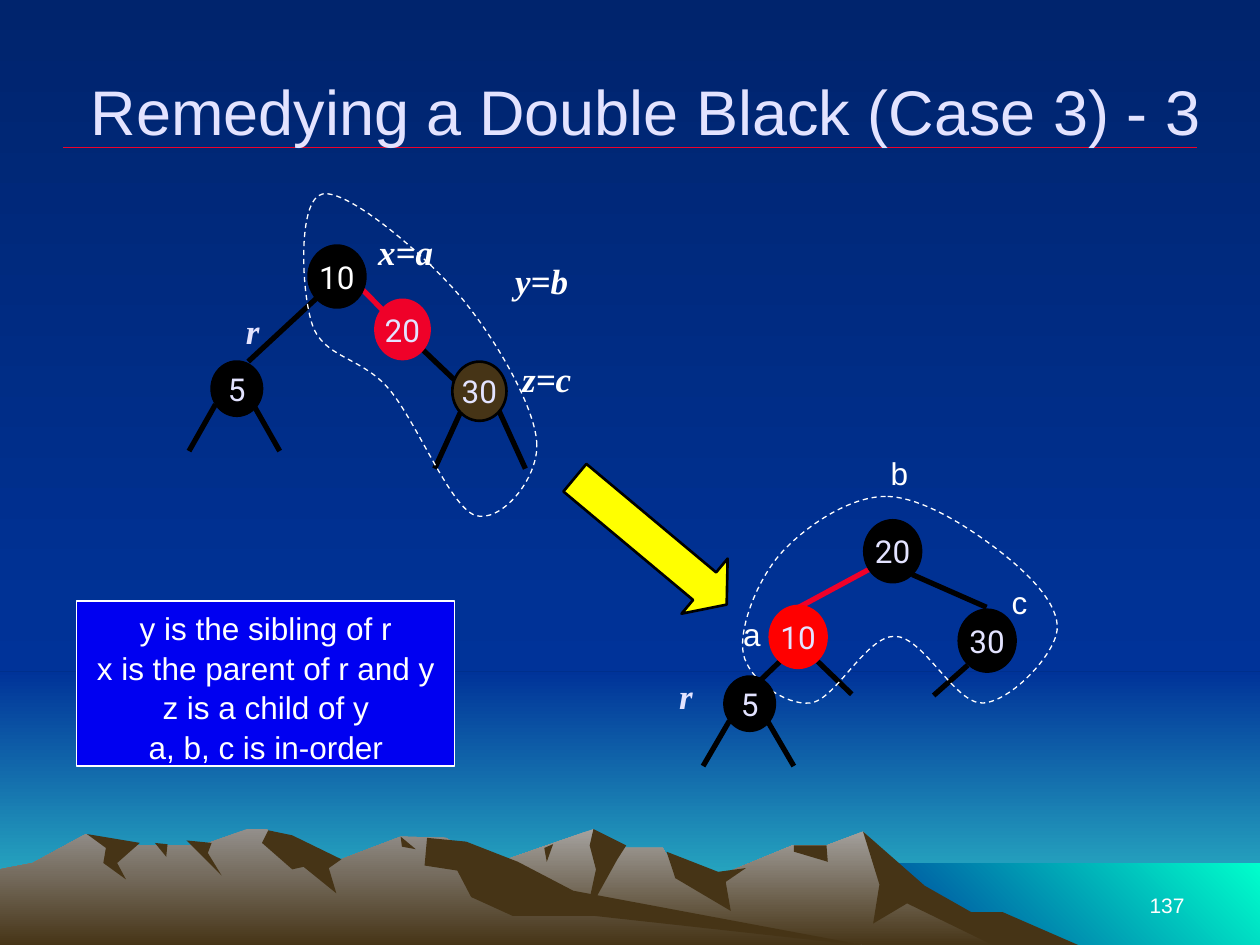
from lxml import etree
from pptx import Presentation
from pptx.dml.color import RGBColor
from pptx.enum.dml import MSO_LINE
from pptx.enum.shapes import MSO_CONNECTOR, MSO_SHAPE
from pptx.enum.text import MSO_ANCHOR, PP_ALIGN
from pptx.oxml.ns import qn
from pptx.util import Inches, Pt

LEFT, MID, RIGHT = PP_ALIGN.LEFT, PP_ALIGN.CENTER, PP_ALIGN.RIGHT
TOP, HALF, BASE = MSO_ANCHOR.TOP, MSO_ANCHOR.MIDDLE, MSO_ANCHOR.BOTTOM
DASH = MSO_LINE.DASH
OVAL, RECT, ARROW = MSO_SHAPE.OVAL, MSO_SHAPE.RECTANGLE, MSO_SHAPE.RIGHT_ARROW
STRAIGHT = MSO_CONNECTOR.STRAIGHT

BLACK = RGBColor(0x00, 0x00, 0x00)
WHITE = RGBColor(0xFF, 0xFF, 0xFF)
PALE = RGBColor(0xE3, 0xE3, 0xFF)
RED = RGBColor(0xFF, 0x00, 0x00)
ROSE = RGBColor(0xEF, 0x01, 0x29)
BROWN = RGBColor(0x46, 0x34, 0x16)
STONE = RGBColor(0xA5, 0xA2, 0x9F)
ROCK = RGBColor(0x93, 0x8F, 0x8B)
YELLOW = RGBColor(0xFF, 0xFF, 0x00)
BLUE = RGBColor(0x00, 0x00, 0xF1)
NIGHT = RGBColor(0x00, 0x24, 0x6D)
SKY = RGBColor(0x00, 0x33, 0x99)
TEAL = RGBColor(0x33, 0xCC, 0xCC)
AQUA = RGBColor(0x00, 0xFF, 0xCC)
SANS, SERIF, ROUND = "Arial", "Times New Roman", "Roboto"

deck = Presentation()
deck.slide_width, deck.slide_height = Inches(10), Inches(7.5)
slide = deck.slides.add_slide(deck.slide_layouts[6])
shapes = slide.shapes


def paint(shape, fill, line=None, width=0):
    shape.shadow.inherit = False
    if fill is None:
        shape.fill.background()
    elif isinstance(fill, RGBColor):
        shape.fill.solid()
        shape.fill.fore_color.rgb = fill
    else:
        shape.fill.gradient()
        shape.fill.gradient_angle = fill[2]
        for stop, tint in zip(shape.fill.gradient_stops, fill):
            stop.color.rgb = tint
    if line is None:
        shape.line.fill.background()
    else:
        shape.line.color.rgb = line
        shape.line.width = Pt(width)


def write(shape, lines, size, font, tint, align=MID, anchor=TOP, wrap=True, space=None):
    frame = shape.text_frame
    frame.word_wrap = wrap
    frame.vertical_anchor = anchor
    for i, line in enumerate(lines):
        para = frame.add_paragraph() if i else frame.paragraphs[0]
        para.alignment = align
        para.line_spacing = space
        run = para.add_run()
        run.text = line
        run.font.size = Pt(size)
        run.font.name = font
        run.font.color.rgb = tint
        run.font.bold = run.font.italic = font == SERIF


back = slide.background.fill
back.gradient()
back.gradient_angle = 270
for stop, tint in zip(back.gradient_stops, (NIGHT, SKY)):
    stop.color.rgb = tint

bands = [
    (0, 5.33, 10, 2.17, (SKY, TEAL, 270)),
    (0, 0, 10, 5.33, (NIGHT, SKY, 270)),
    (6.83, 6.85, 3.17, 0.67, (SKY, AQUA, 45)),
]
for *place, fill in bands:
    paint(shapes.add_shape(RECT, *map(Inches, place)), fill)

land = [
    ((STONE, BROWN, 270), [
        (821, 751), (764, 723), (723, 698), (685, 660), (656, 671), (629, 671), (566, 697),
        (536, 690), (526, 673), (486, 673), (471, 658), (394, 685), (327, 709), (258, 751)]),
    (BROWN, [
        (796, 724), (771, 724), (734, 703), (685, 660), (698, 702), (693, 733), (720, 717),
        (792, 752), (858, 751)]),
    (BROWN, [(471, 658), (468, 671), (473, 690), (465, 727), (490, 682), (497, 671)]),
    (BROWN, [(529, 676), (536, 697), (580, 723), (576, 700), (592, 689), (570, 692)]),
    (BROWN, [(656, 671), (630, 671), (630, 676), (657, 684)]),
    (BROWN, [(439, 670), (432, 673), (434, 684)]),
    ((ROCK, BROWN, 270), [
        (690, 751), (432, 712), (354, 665), (318, 664), (271, 682), (236, 681), (212, 658),
        (196, 658), (160, 671), (94, 671), (68, 662), (26, 685), (0, 690), (0, 751)]),
    (BROWN, [
        (213, 659), (208, 669), (232, 690), (241, 688), (267, 709), (261, 689), (271, 682),
        (232, 663)]),
    (BROWN, [
        (370, 668), (339, 665), (337, 687), (363, 691), (374, 712), (407, 727), (472, 727),
        (690, 751), (455, 707), (411, 684)]),
    (BROWN, [(318, 664), (330, 674), (319, 672)]),
    (BROWN, [(148, 667), (168, 669), (165, 677), (176, 695)]),
    (BROWN, [(133, 670), (132, 680), (123, 669)]),
    (BROWN, [
        (69, 662), (111, 669), (93, 685), (100, 698), (82, 685), (84, 673)]),
]
for fill, dots in land:
    build = shapes.build_freeform(*dots[0], scale=Inches(0.01))
    build.add_line_segments(dots[1:], close=True)
    paint(build.convert_to_shape(), fill)

edges = [
    (0.5, 1.17, 9.5, 1.17, ROSE, 0.75),
    (3.36, 2.78, 3.78, 3.18, BLACK, 3),
    (2.84, 2.26, 3.35, 2.78, ROSE, 3),
    (1.97, 2.87, 2.52, 2.36, BLACK, 3),
    (6.34, 4.82, 6.97, 4.48, ROSE, 3),
    (7.24, 4.56, 7.83, 4.82, BLACK, 3),
    (7.68, 5.28, 7.41, 5.52, BLACK, 3),
]
for x, y, drop in [(1.86, 3.21, 0.37), (3.81, 3.26, 0.46), (5.94, 5.72, 0.36), (6.34, 5.25, 0.26)]:
    for side in (-1, 1):
        reach = 0.42 if drop == 0.26 else 0.36
        edges.append((x + 0.15 * side, y, x + reach * side, y + drop, BLACK, 3))
for *ends, tint, width in edges:
    edge = shapes.add_connector(STRAIGHT, *map(Inches, ends))
    edge.line.color.rgb = tint
    edge.line.width = Pt(width)
    etree.SubElement(edge._element.spPr, qn("a:effectLst"))

loops = [
    [(426, 351), (377, 409), (308, 308), (248, 258), (256, 154), (365, 235)],
    [(703, 394), (620, 439), (590, 519), (643, 558), (710, 505), (780, 558), (839, 500), (794, 438)],
]
for knots in loops:
    dots = []
    for i, (x, y) in enumerate(knots):
        last, (u, v) = knots[i - 1], knots[(i + 1) % len(knots)]
        far = knots[(i + 2) % len(knots)]
        dots += [(x + (u - last[0]) / 6, y + (v - last[1]) / 6),
                 (u - (far[0] - x) / 6, v - (far[1] - y) / 6), (u, v)]
    build = shapes.build_freeform(*knots[0], scale=Inches(0.01))
    build.add_line_segments(dots, close=False)
    loop = build.convert_to_shape()
    paint(loop, None, WHITE, 0.75)
    loop.line.dash_style = DASH
    legs = list(loop._element.iter(qn("a:lnTo")))
    for first, *rest in zip(legs[::3], legs[1::3], legs[2::3]):
        first.tag = qn("a:cubicBezTo")
        for leg in rest:
            first.append(leg[0])
            leg.getparent().remove(leg)

arrow = shapes.add_shape(ARROW, Inches(4.38), Inches(4.01), Inches(1.57), Inches(0.57))
arrow.rotation = 39.9
arrow.adjustments[0], arrow.adjustments[1] = 0.5, 0.4
paint(arrow, YELLOW, BLACK, 1.5)

nodes = [
    ("10", 2.46, 1.96, BLACK, BLACK, 3, WHITE),
    ("20", 2.98, 2.38, ROSE, ROSE, 1.5, PALE),
    ("30", 3.59, 2.87, BROWN, BLACK, 1.5, PALE),
    ("5", 1.68, 2.87, BLACK, BLACK, 1.5, PALE),
    ("20", 6.87, 4.14, BLACK, BLACK, 3, PALE),
    ("10", 6.12, 4.82, RED, RED, 3, PALE),
    ("30", 7.62, 4.85, BLACK, BLACK, 3, PALE),
    ("5", 5.75, 5.37, BLACK, BLACK, 1.5, PALE),
]
for key, x, y, fill, line, width, tint in nodes:
    wide, high = (0.4, 0.43) if key == "5" else (0.43, 0.47)
    node = shapes.add_shape(OVAL, Inches(x), Inches(y), Inches(wide), Inches(high))
    paint(node, fill, line, width)
    write(node, [key], 18, ROUND, tint, anchor=HALF, wrap=False)

title = shapes.add_textbox(Inches(0.5), Inches(0.25), Inches(9.25), Inches(1.25))
write(title, ["Remedying a Double Black (Case 3) - 3"], 36, SANS, PALE, anchor=HALF)
folio = shapes.add_textbox(Inches(7.17), Inches(6.83), Inches(2.33), Inches(0.5))
write(folio, ["137"], 12, SANS, WHITE, RIGHT, BASE)

marks = [
    ("x=a", 2.74, 1.78, 0.96), ("y=b", 3.77, 2.01, 1.06), ("z=c", 3.81, 2.79, 1.06),
    ("r", 1.79, 2.41, 0.43), ("r", 5.23, 5.3, 0.43),
]
for text, x, y, wide in marks:
    mark = shapes.add_textbox(Inches(x), Inches(y), Inches(wide), Inches(0.59))
    write(mark, [text], 20, SERIF, PALE if text == "r" else WHITE)
for text, x, y in [("a", 5.8, 4.83), ("b", 6.97, 3.55), ("c", 7.93, 4.58)]:
    mark = shapes.add_textbox(Inches(x), Inches(y), Inches(0.43), Inches(0.55))
    write(mark, [text], 18, SANS, WHITE, LEFT)

note = shapes.add_shape(RECT, Inches(0.61), Inches(4.77), Inches(3), Inches(1.31))
paint(note, BLUE, WHITE, 0.75)
rules = ["y is the sibling of r", "x is the parent of r and y", "z is a child of y", "a, b, c is in-order"]
write(note, rules, 18, SANS, WHITE, space=1.05)

deck.save("out.pptx")
